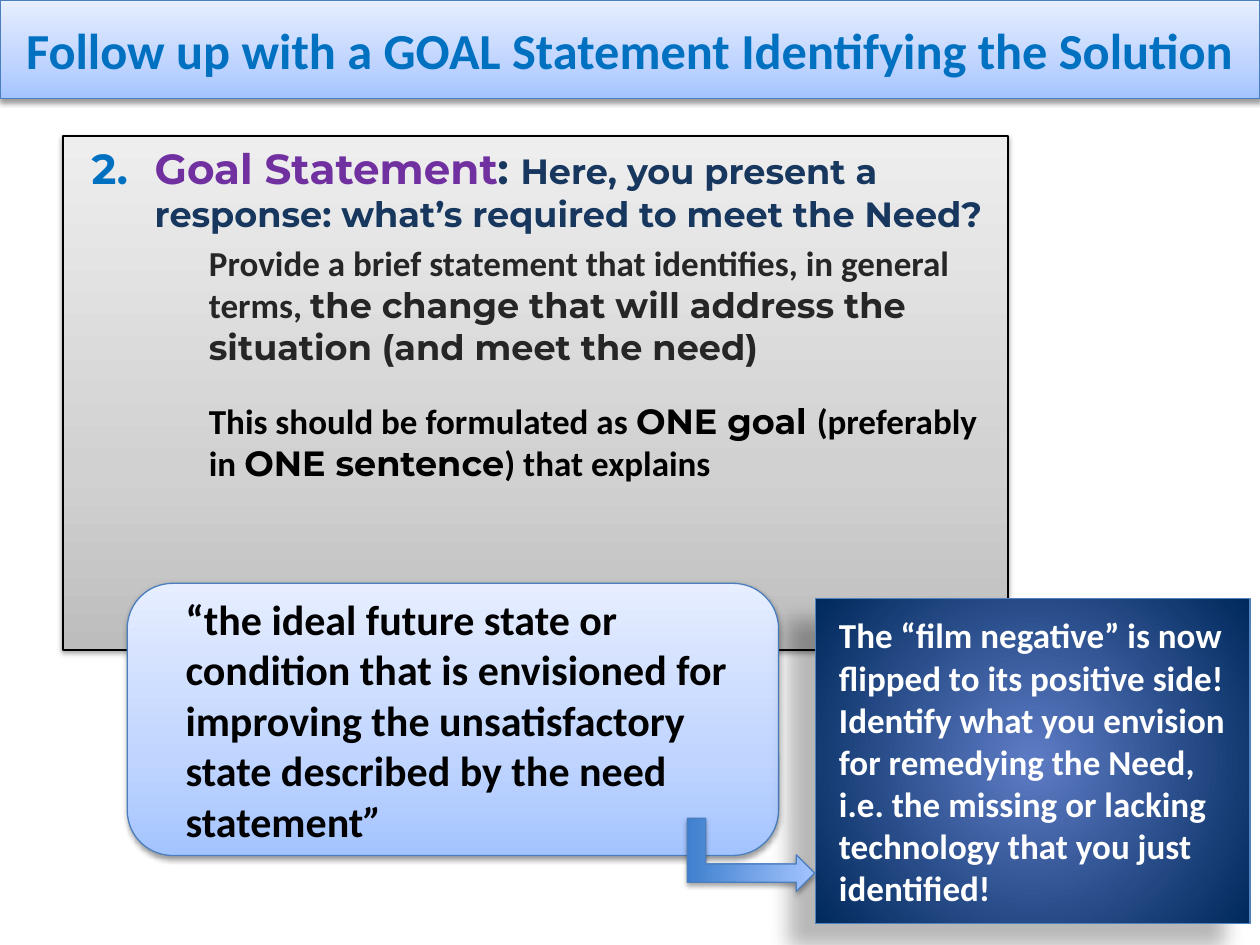
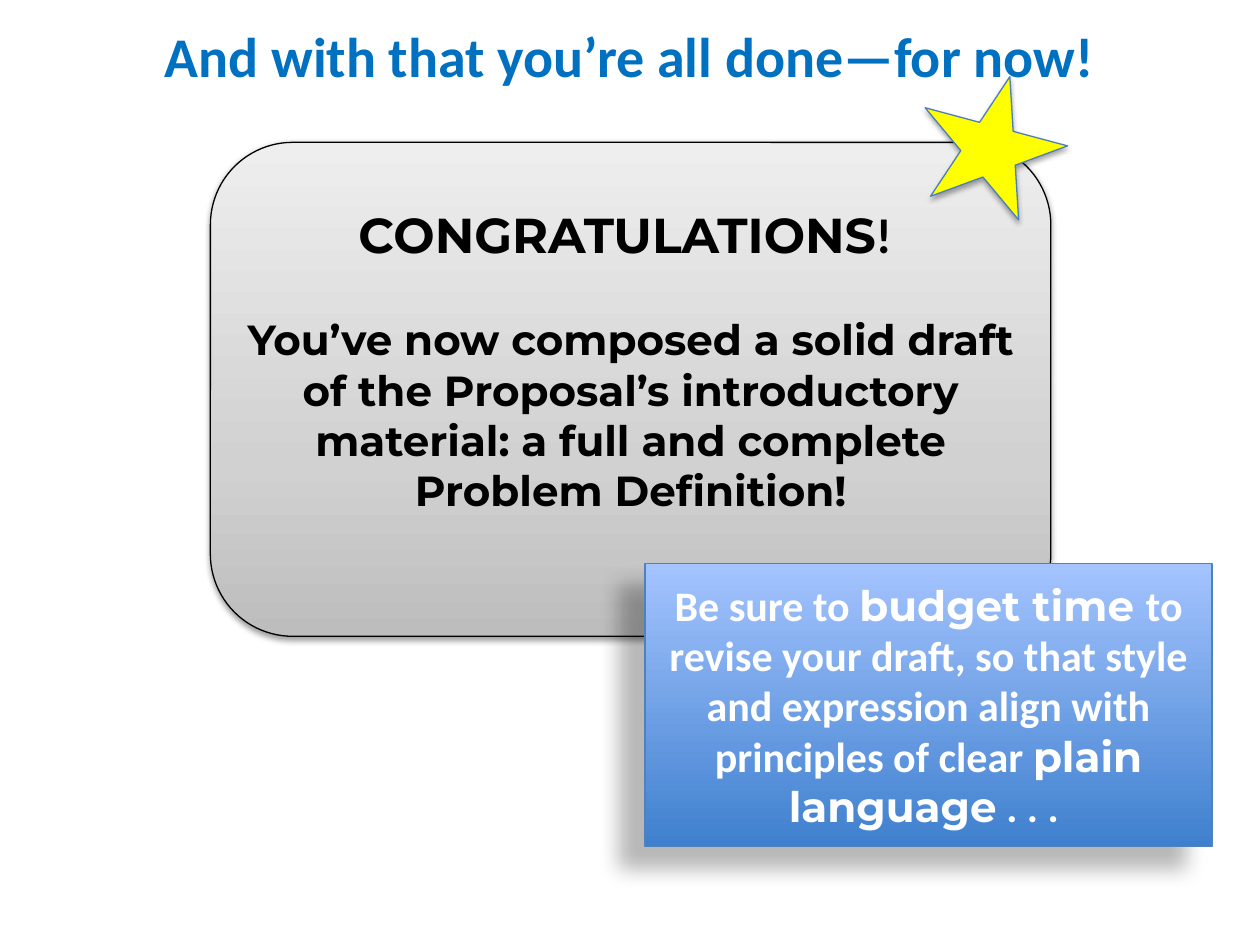
from lxml.etree import SubElement
from pptx import Presentation
from pptx.dml.color import RGBColor
from pptx.enum.shapes import MSO_SHAPE as SHAPE
from pptx.enum.text import MSO_ANCHOR as ANCHOR, MSO_AUTO_SIZE as AUTO, PP_ALIGN as ALIGN
from pptx.oxml.ns import qn
from pptx.util import Inches, Pt

COLORS = {
    "title": "0070C0", "purple": "7030A0", "navy": "17375E", "ink": "262626",
    "black": "000000", "white": "FFFFFF", "edge": "4B7EBC", "note_edge": "4F81BD",
    "yellow": "FFFF00",
}
GRADIENTS = {
    "sky": [(0, "A4C4FF"), (35, "BFD4FF"), (100, "E6EEFF")],
    "grey": [(0, "BDBDBD"), (35, "D1D1D1"), (100, "EEEEEE")],
    "blue": [(0, "3F80CE"), (100, "A4C4FF")],
    "glow": [(0, "5E7CC5"), (100, "00295C")],
}
SHADOWS = {
    "soft": (38, 3.1, 1.6, 90),
    "accent": (35, 3.1, 1.8, 90),
    "deep": (28, 11.8, 19.7, 141),
}
SANS, DISPLAY = "Calibri", "Montserrat"


def run(text, size, color="black", font=SANS, **more):
    return text, {"size": Pt(size), "name": font, "bold": True, **more}, color


def para(*runs, align=ALIGN.LEFT, left=0, hang=0, before=0, number=None):
    return {"runs": runs, "align": align, "left": left, "hang": hang,
            "before": before, "number": number}


SLIDES = [
    {
        "title": ("Follow up with a GOAL Statement Identifying the Solution", 28.8, 0.78),
        "band": {"fill": "sky", "edge": "edge", "shadow": "soft"},
        "shapes": [
            {"kind": SHAPE.RECTANGLE, "at": (0.5, 1.08, 7.5, 4.08), "fill": "grey",
             "edge": "black", "shadow": "soft", "anchor": ANCHOR.TOP, "text": [
                para(run("Goal Statement", 24, "purple", DISPLAY),
                     run(": ", 24, "navy", DISPLAY),
                     run("Here, you present a response: what’s required to meet the Need?",
                         20, "navy", DISPLAY),
                     left=0.63, hang=-0.5, before=4.8, number=2),
                para(run("Provide a brief statement that identifies, in general terms, ", 20, "ink"),
                     run("the change that will address the situation (and meet the need)",
                         20, "ink", DISPLAY),
                     left=1.06, before=4),
                para(run("This should be formulated as ", 20),
                     run("ONE goal ", 20, font=DISPLAY),
                     run("(preferably in ", 20),
                     run("ONE sentence", 20, font=DISPLAY),
                     run(") that explains", 20),
                     left=1.06, before=18)]},
            {"kind": SHAPE.ROUNDED_RECTANGLE, "at": (1.01, 4.63, 5.17, 2.16), "fill": "sky",
             "edge": "edge", "shadow": "soft", "text": [
                para(run("“the ideal future state or condition that is envisioned for improving "
                         "the unsatisfactory state described by the need statement", 24),
                     run("”", 24, italic=True), left=0.26)]},
            {"kind": SHAPE.RECTANGLE, "at": (6.47, 4.75, 3.45, 2.58), "fill": "glow",
             "edge": "note_edge", "shadow": "deep", "text": [
                para(run("The “film negative” is now flipped to its positive side! Identify what "
                         "you envision for remedying the Need, i.e. the missing or lacking "
                         "technology that you just identified!", 20, "white"), left=0.09)]},
            {"kind": SHAPE.BENT_UP_ARROW, "at": (5.67, 6.28, 0.58, 1.01), "turn": 90,
             "fill": "blue", "edge": "edge", "shadow": "accent"},
        ],
    },
    {
        "title": ("And with that you’re all done—for now!", 32, 0.87),
        "band": None,
        "shapes": [
            {"kind": SHAPE.ROUNDED_RECTANGLE, "at": (1.67, 1.13, 6.67, 3.92), "fill": "grey",
             "edge": "black", "shadow": "soft", "bottom": 0.52, "text": [
                para(run("CONGRATULATIONS", 28, font=DISPLAY), run("! ", 28), align=ALIGN.CENTER),
                para(run("You’ve now composed a solid draft of the Proposal’s introductory "
                         "material: a full and complete Problem Definition!", 24, font=DISPLAY),
                     align=ALIGN.CENTER, before=29)]},
            {"kind": SHAPE.RECTANGLE, "at": (5.12, 4.47, 4.5, 2.25), "fill": "blue",
             "edge": "note_edge", "shadow": "deep", "text": [
                para(run("Be sure to ", 24, "white"),
                     run("budget time ", 24, "white", DISPLAY),
                     run("to revise your draft, so that style and expression align with "
                         "principles of clear ", 24, "white"),
                     run("plain language", 24, "white", DISPLAY),
                     run(" . . . ", 24, "white"), align=ALIGN.CENTER)]},
            {"kind": SHAPE.STAR_5_POINT, "at": (7.29, 0.59, 1.17, 1.08), "turn": 15,
             "fill": "yellow", "edge": "edge", "shadow": "accent"},
        ],
    },
]


def add(parent, tag, **attrs):
    return SubElement(parent, qn(tag), {k: str(v) for k, v in attrs.items()})


def set_gradient(sp, name):
    solid = sp._element.spPr.find(qn("a:solidFill"))
    grad = add(sp._element.spPr, "a:gradFill", rotWithShape=1)
    stops = add(grad, "a:gsLst")
    for pos, color in GRADIENTS[name]:
        add(add(stops, "a:gs", pos=pos * 1000), "a:srgbClr", val=color)
    if name == "glow":
        circle = add(grad, "a:path", path="circle")
        add(circle, "a:fillToRect", l=50000, t=50000, r=50000, b=50000)
    else:
        add(grad, "a:lin", ang=270 * 60000, scaled=0)
    solid.getparent().replace(solid, grad)


def set_shadow(sp, name):
    alpha, blur, dist, angle = SHADOWS[name]
    sp.shadow.inherit = False
    effects = sp._element.spPr.find(qn("a:effectLst"))
    outer = add(effects, "a:outerShdw", blurRad=int(Pt(blur)), dist=int(Pt(dist)),
                dir=angle * 60000, rotWithShape=0)
    add(add(outer, "a:srgbClr", val=COLORS["black"]), "a:alpha", val=alpha * 1000)


def paint(sp, look):
    sp.fill.solid()
    if look["fill"] in GRADIENTS:
        set_gradient(sp, look["fill"])
    else:
        sp.fill.fore_color.rgb = RGBColor.from_string(COLORS[look["fill"]])
    sp.line.color.rgb = RGBColor.from_string(COLORS[look["edge"]])
    sp.line.width = Pt(0.75)
    set_shadow(sp, look["shadow"])


def write(tf, paragraphs):
    for i, item in enumerate(paragraphs):
        p = tf.add_paragraph() if i else tf.paragraphs[0]
        p.alignment = item["align"]
        p.space_before = Pt(item["before"])
        pPr = p._p.get_or_add_pPr()
        pPr.set("marL", str(int(Inches(item["left"]))))
        pPr.set("indent", str(int(Inches(item["hang"]))))
        if item["number"]:
            add(add(pPr, "a:buClr"), "a:srgbClr", val=COLORS["title"])
            add(pPr, "a:buFont", typeface=DISPLAY)
            add(pPr, "a:buAutoNum", type="arabicPeriod", startAt=item["number"])
        for text, form, color in item["runs"]:
            r = p.add_run()
            r.text = text
            for key, value in form.items():
                setattr(r.font, key, value)
            r.font.color.rgb = RGBColor.from_string(COLORS[color])


def set_title(s, title, band):
    text, size, height = title
    sp = s.shapes.title
    sp.left, sp.top, sp.width, sp.height = map(Inches, (0, 0, 10, height))
    tf = sp.text_frame
    tf.auto_size, tf.vertical_anchor = AUTO.NONE, ANCHOR.MIDDLE
    write(tf, [para(run(text, size, "title"), align=ALIGN.CENTER)])
    if band:
        paint(sp, band)


def add_part(s, part):
    sp = s.shapes.add_shape(part["kind"], *map(Inches, part["at"]))
    sp.rotation = part.get("turn", 0)
    paint(sp, part)
    if "text" in part:
        tf = sp.text_frame
        tf.word_wrap = True
        tf.vertical_anchor = part.get("anchor", ANCHOR.MIDDLE)
        tf.margin_bottom = Inches(part.get("bottom", 0.05))
        write(tf, part["text"])


def main():
    prs = Presentation()
    prs.slide_width, prs.slide_height = Inches(10), Inches(7.5)
    for content in SLIDES:
        s = prs.slides.add_slide(prs.slide_layouts[5])
        set_title(s, content["title"], content["band"])
        for part in content["shapes"]:
            add_part(s, part)
    prs.save("out.pptx")


if __name__ == "__main__":
    main()
